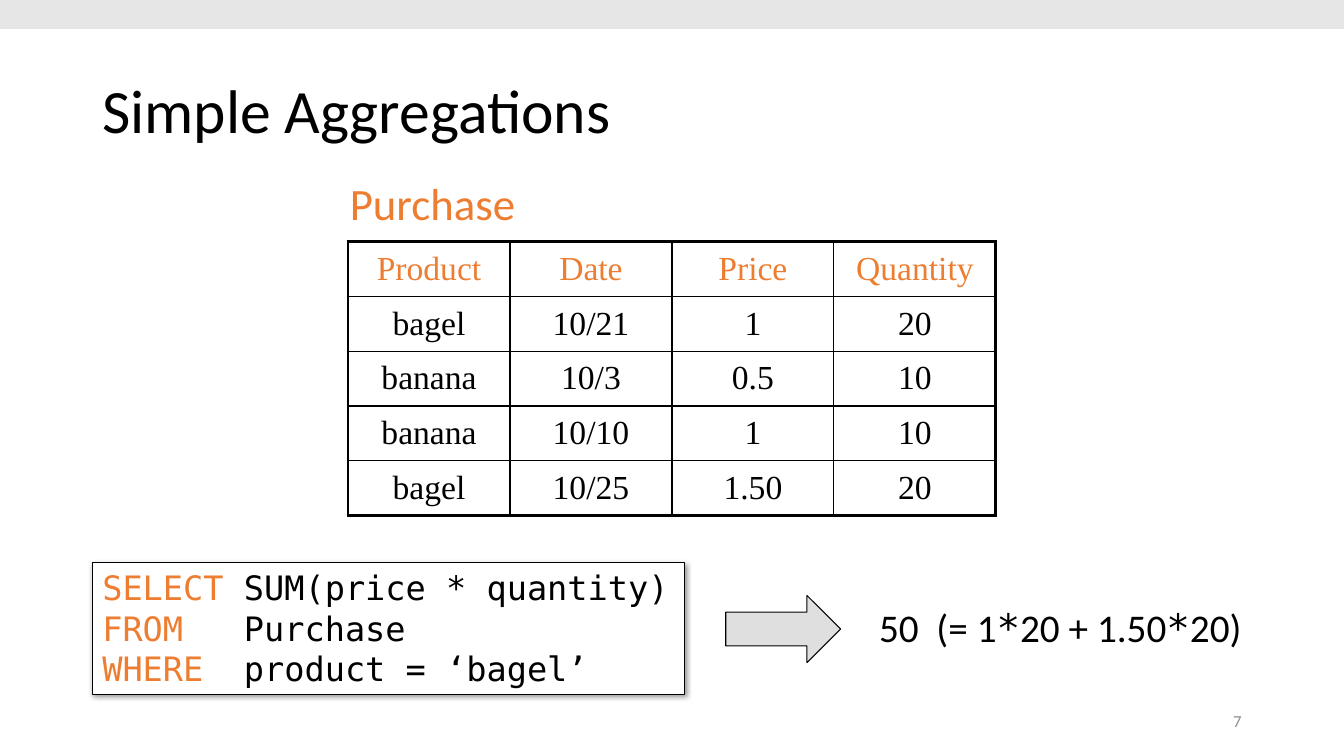
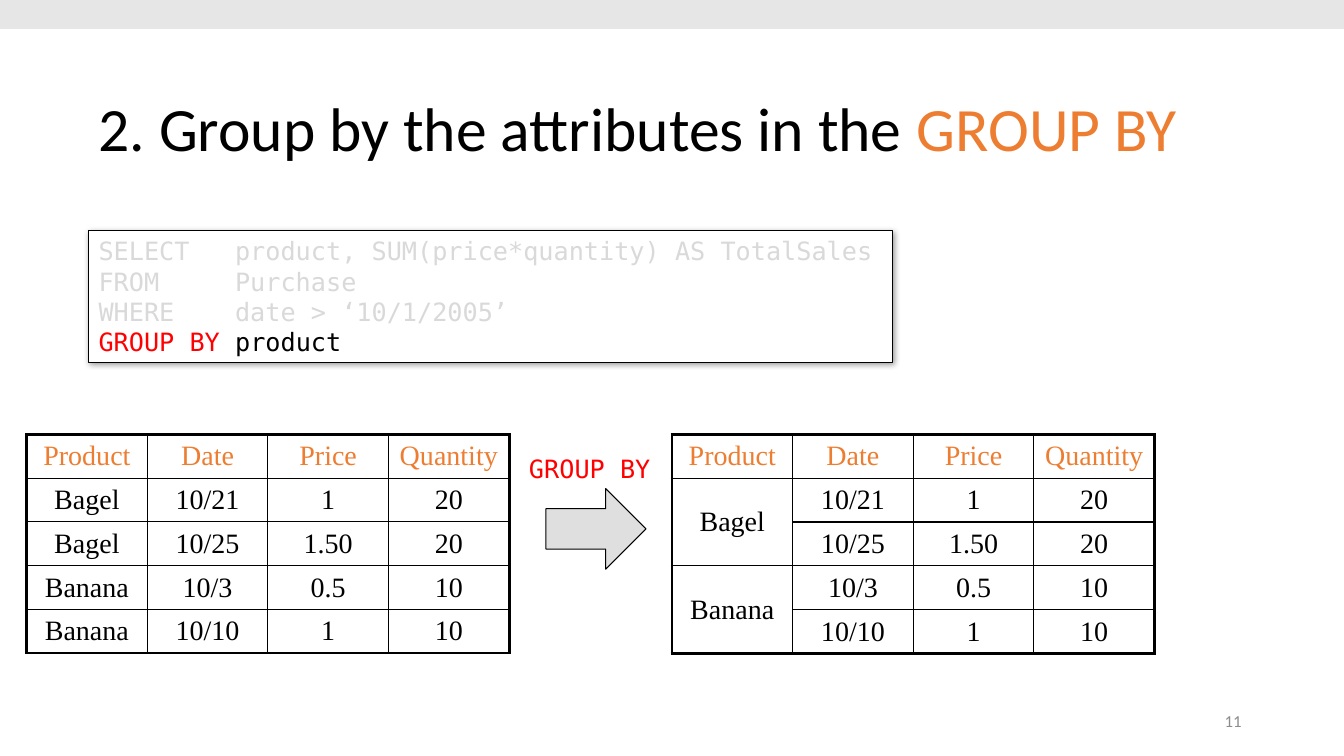
from lxml.etree import SubElement
from pptx import Presentation
from pptx.dml.color import RGBColor
from pptx.enum.shapes import MSO_SHAPE as SHAPE
from pptx.enum.text import MSO_ANCHOR as ANCHOR, MSO_AUTO_SIZE as AUTO, PP_ALIGN as ALIGN
from pptx.oxml.ns import qn
from pptx.util import Pt

# Shared style
WIDTH, HEIGHT = 960, 540
SANS, MONO, SERIF = "Calibri", "DejaVu Sans Mono", "Times New Roman"
BLACK, WHITE, ORANGE, RED = "000000", "FFFFFF", "ED7D31", "FF0000"
BAND, ARROW, FADED, NUMBER = "E7E6E6", "C0C0C0", "D9D9D9", "8C8C8C"
OUTER, INNER = 2.25, 1

# Table content
HEADER = ("Product", "Date", "Price", "Quantity")
PURCHASES = [
    ("bagel", "10/21", "1", "20"),
    ("banana", "10/3", "0.5", "10"),
    ("banana", "10/10", "1", "10"),
    ("bagel", "10/25", "1.50", "20"),
]
SORTED = [
    ("Bagel", "10/21", "1", "20"),
    ("Bagel", "10/25", "1.50", "20"),
    ("Banana", "10/3", "0.5", "10"),
    ("Banana", "10/10", "1", "10"),
]


def rgb(color):
    return RGBColor.from_string(color)


def lengths(*values):
    return [Pt(v) for v in values]


def paint(sp, fill, line=None):
    sp.shadow.inherit = False
    sp.fill.solid()
    sp.fill.fore_color.rgb = rgb(fill)
    if line:
        sp.line.color.rgb = rgb(line)
        sp.line.width = Pt(0.75)
    else:
        sp.line.fill.background()


def write(p, runs, size, font=SANS, align=ALIGN.LEFT, spacing=None):
    """Fill a paragraph with runs of (text, color[, font])."""
    p.alignment, p.line_spacing = align, spacing
    for text, color, *own_font in runs:
        r = p.add_run()
        r.text = text
        values = {"size": Pt(size), "name": own_font[0] if own_font else font, "bold": False}
        for name, value in values.items():
            setattr(r.font, name, value)
        r.font.color.rgb = rgb(color)


def add_text(s, box, runs, size, **style):
    tf = s.shapes.add_textbox(*lengths(*box)).text_frame
    tf.word_wrap, tf.vertical_anchor = True, ANCHOR.MIDDLE
    write(tf.paragraphs[0], runs, size, **style)
    return tf


def add_label(s, box, runs, size, **style):
    """Text on one line whose box fits its words."""
    tf = add_text(s, box, runs, size, **style)
    values = {"word_wrap": False, "auto_size": AUTO.SHAPE_TO_FIT_TEXT, "vertical_anchor": ANCHOR.TOP}
    for name, value in values.items():
        setattr(tf, name, value)


def add_code(s, box, lines, size):
    sp = s.shapes.add_shape(SHAPE.RECTANGLE, *lengths(*box))
    paint(sp, WHITE, BLACK)
    # Soft shadow to the lower right
    effects = sp._element.spPr.find(qn("a:effectLst"))
    shadow = SubElement(effects, qn("a:outerShdw"), blurRad=str(Pt(4)), dist=str(Pt(1)),
                        dir="2700000", algn="tl", rotWithShape="0")
    color = SubElement(shadow, qn("a:srgbClr"), val=BLACK)
    SubElement(color, qn("a:alpha"), val="40000")
    tf = sp.text_frame
    tf.word_wrap, tf.vertical_anchor = True, ANCHOR.TOP
    for i, runs in enumerate(lines):
        p = tf.add_paragraph() if i else tf.paragraphs[0]
        write(p, runs, size, MONO)


def add_arrow(s, box):
    sp = s.shapes.add_shape(SHAPE.RIGHT_ARROW, *lengths(*box))
    paint(sp, ARROW, BLACK)
    color = sp._element.spPr.find(qn("a:solidFill"))[0]
    SubElement(color, qn("a:alpha"), val="50000")


def add_border(cell, side, width):
    ln = SubElement(cell._tc.get_or_add_tcPr(), qn(f"a:ln{side}"), w=str(Pt(width)))
    fill = SubElement(ln, qn("a:solidFill"))
    SubElement(fill, qn("a:srgbClr"), val=BLACK)


def add_grid(s, left, top, col_width, row_height, rows, size):
    """Table with a heavy frame; None joins a cell to the one above."""
    rows = [HEADER, *rows]
    n_rows, n_cols = len(rows), len(HEADER)
    box = lengths(left, top, col_width * n_cols, row_height * n_rows)
    table = s.shapes.add_table(n_rows, n_cols, *box).table
    table.first_row = table.horz_banding = False
    for row in table.rows:
        row.height = Pt(row_height)

    # Join each value with the empty cells below it
    for c in range(n_cols):
        filled = [r for r in range(n_rows) if rows[r][c] is not None]
        for start, end in zip(filled, filled[1:] + [n_rows]):
            if end - start > 1:
                table.cell(start, c).merge(table.cell(end - 1, c))

    for r, values in enumerate(rows):
        for c, value in enumerate(values):
            cell = table.cell(r, c)
            last = r + cell.span_height if cell.is_merge_origin else r + 1
            edges = {"L": c == 0, "R": c == n_cols - 1, "T": r == 0, "B": last == n_rows}
            for side, is_outer in edges.items():
                if not (cell.is_spanned and side == "T"):
                    add_border(cell, side, OUTER if is_outer else INNER)
            cell.fill.background()
            cell.vertical_anchor = ANCHOR.MIDDLE
            if value is not None:
                color = BLACK if r else ORANGE
                write(cell.text_frame.paragraphs[0], [(value, color)], size, SERIF, ALIGN.CENTER)


def add_slide(prs, title_box, title, number):
    """Blank slide with band, title and slide number."""
    s = prs.slides.add_slide(prs.slide_layouts[6])
    band = s.shapes.add_shape(SHAPE.RECTANGLE, *lengths(0, 0, WIDTH, 20.7))
    paint(band, BAND)
    add_text(s, title_box, title, 44, spacing=0.9)
    add_text(s, (678, 500.5, 216, 28.8), [(number, NUMBER)], 12, align=ALIGN.RIGHT)
    return s


def build_aggregations(prs):
    s = add_slide(prs, (66, 28.75, 828, 104.4), [("Simple Aggregations", BLACK)], "7")
    add_label(s, (242.8, 121.7, 134, 46), [("Purchase", ORANGE)], 32)
    add_grid(s, 248.6, 172.5, 115.7, 39.2, PURCHASES, 24)
    add_code(s, (66, 401.7, 423, 94.5), [
        [("SELECT", ORANGE), (" SUM(price * quantity)", BLACK)],
        [("FROM", ORANGE), ("   Purchase", BLACK)],
        [("WHERE ", ORANGE), (" product = ‘bagel’", BLACK)],
    ], 24)
    add_arrow(s, (518.4, 425.3, 82, 48))
    add_label(s, (620.9, 427.2, 276.5, 41), [
        ("50  (= 1", BLACK), ("*", BLACK, MONO), ("20 + 1.50", BLACK),
        ("*", BLACK, MONO), ("20)", BLACK),
    ], 28)


def build_group_by(prs):
    title = [("2. Group by the attributes in the ", BLACK), ("GROUP BY", ORANGE)]
    s = add_slide(prs, (63.3, 49, 791.3, 90), title, "11")
    add_code(s, (63.3, 164.8, 574, 94.5), [
        [("SELECT   product, SUM(price*quantity) AS TotalSales", FADED)],
        [("FROM     Purchase", FADED)],
        [("WHERE    date > ‘10/1/2005’", FADED)],
        [("GROUP BY ", RED), ("product", BLACK)],
    ], 18)

    # Rows before and after grouping
    grouped = [
        (None if i and row[0] == SORTED[i - 1][0] else row[0], *row[1:])
        for i, row in enumerate(SORTED)
    ]
    add_grid(s, 19, 310.3, 86.2, 30.4, SORTED, 20)
    add_grid(s, 480, 310.3, 86.2, 31.3, grouped, 20)
    add_label(s, (370.8, 320.5, 102, 29), [("GROUP BY", RED)], 18, font=MONO)
    add_arrow(s, (390, 349, 71.5, 57.6))


def main():
    prs = Presentation()
    prs.slide_width, prs.slide_height = lengths(WIDTH, HEIGHT)
    build_aggregations(prs)
    build_group_by(prs)
    prs.save("out.pptx")


if __name__ == "__main__":
    main()
